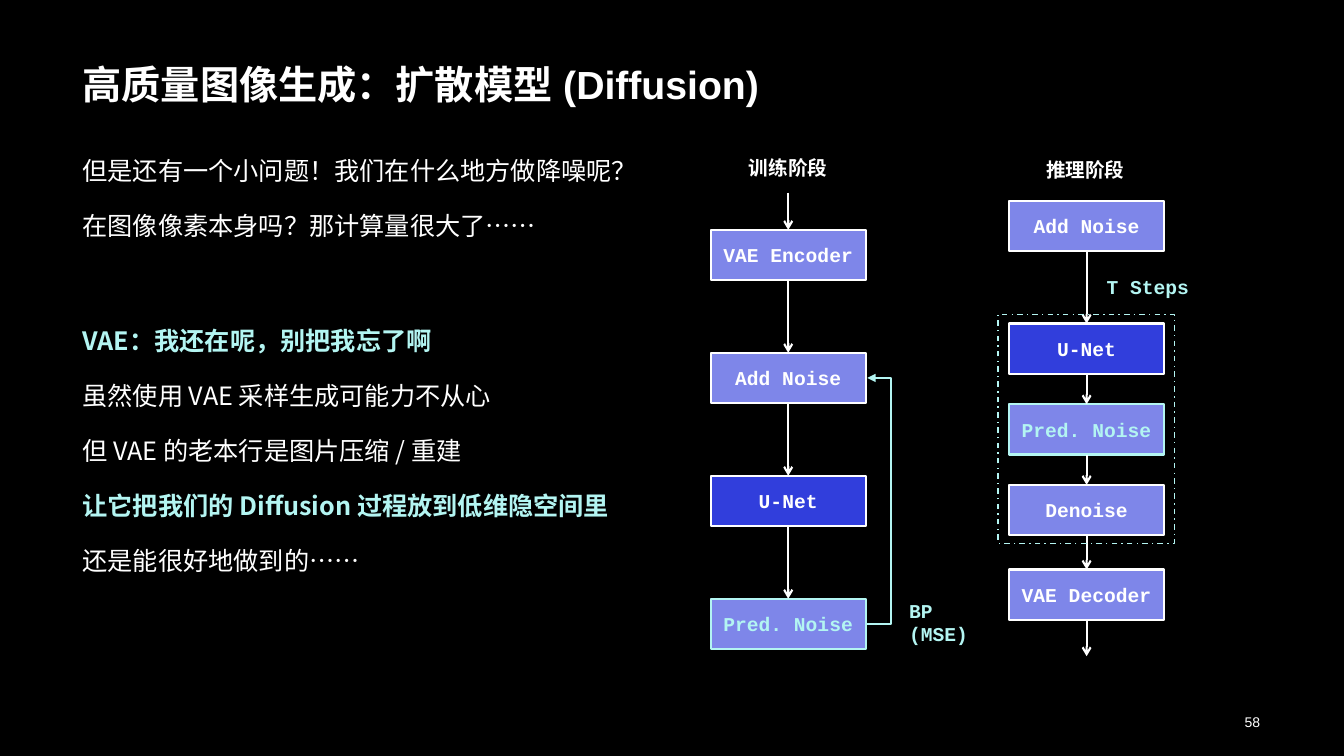
"""Build a slide on diffusion in a VAE latent space."""
import lxml.etree
import pptx
import pptx.dml.color
import pptx.enum.dml
import pptx.enum.lang
import pptx.enum.shapes
import pptx.enum.text
import pptx.oxml.ns
import pptx.util

Pt = pptx.util.Pt
RGB = pptx.dml.color.RGBColor
ALIGN = pptx.enum.text.PP_ALIGN
ANCHOR = pptx.enum.text.MSO_ANCHOR
FIT = pptx.enum.text.MSO_AUTO_SIZE
LINK = pptx.enum.shapes.MSO_CONNECTOR
qn = pptx.oxml.ns.qn

BLACK = RGB(0x00, 0x00, 0x00)
WHITE = RGB(0xFF, 0xFF, 0xFF)
AQUA = RGB(0xB3, 0xF5, 0xF2)
LILAC = RGB(0x7E, 0x86, 0xE9)
BLUE = RGB(0x31, 0x3E, 0xDC)

SANS, MONO, HAN = "Arial", "Courier New", "Noto Sans CJK SC"
WIDE, HIGH = 110.88, 36
TRAIN_X, INFER_X = 507.6, 720.72

BODY = [
    ("但是还有一个小问题！我们在什么地方做降噪呢？", False, 0),
    ("在图像像素本身吗？那计算量很大了……", False, 19.7),
    ("VAE：我还在呢，别把我忘了啊", True, 62.8),
    ("虽然使用 VAE 采样生成可能力不从心", False, 19.7),
    ("但 VAE 的老本行是图片压缩 / 重建", False, 19.7),
    ("让它把我们的 Diffusion 过程放到低维隐空间里", True, 19.7),
    ("还是能很好地做到的……", False, 19.7),
]
TRAIN = [
    ("VAE Encoder", 164.16, LILAC, WHITE),
    ("Add Noise", 252, LILAC, WHITE),
    ("U-Net", 339.84, BLUE, WHITE),
    ("Pred. Noise", 427.68, LILAC, AQUA),
]
INFER = [
    ("Add Noise", 143.28, LILAC, WHITE),
    ("U-Net", 231.12, BLUE, WHITE),
    ("Pred. Noise", 288.72, LILAC, AQUA),
    ("Denoise", 346.32, LILAC, WHITE),
    ("VAE Decoder", 406.8, LILAC, WHITE),
]
LABELS = [
    ("BP (MSE)", 642.24, 424.08, 77.76, AQUA),
    ("训练阶段", 527.76, 108, 71.28, WHITE),
    ("T Steps", 783.36, 192.96, 77.76, AQUA),
    ("推理阶段", 740.16, 109.44, 71.28, WHITE),
]


def add_run(para, text, size, face, tint, bold=False):
    run = para.add_run()
    run.text = text
    font = run.font
    font.size, font.bold, font.name = Pt(size), bold, face
    font.color.rgb = tint
    font.language_id = pptx.enum.lang.MSO_LANGUAGE_ID.SIMPLIFIED_CHINESE
    lxml.etree.SubElement(run._r.get_or_add_rPr(), qn("a:ea"), typeface=face)


def add_frame(slide, left, top, wide, high):
    frame = slide.shapes.add_textbox(Pt(left), Pt(top), Pt(wide), Pt(high)).text_frame
    frame.word_wrap = True
    return frame


def add_title(slide, text):
    title = slide.shapes.title
    title.left, title.top, title.width, title.height = map(Pt, (51.84, 10.08, 855.36, 70.56))
    frame = title.text_frame
    frame.word_wrap, frame.auto_size = True, FIT.NONE
    frame.vertical_anchor = ANCHOR.BOTTOM
    para = frame.paragraphs[0]
    para.alignment = ALIGN.LEFT
    add_run(para, text, 28, SANS, WHITE, True)


def add_body(slide):
    frame = add_frame(slide, 51.84, 110.16, 404.64, 334.08)
    for i, (text, strong, gap) in enumerate(BODY):
        para = frame.add_paragraph() if i else frame.paragraphs[0]
        para.line_spacing = 0.9
        para.space_before = Pt(gap)
        add_run(para, text, 18, HAN, AQUA if strong else WHITE, strong)


def add_label(slide, text, left, top, wide, tint):
    frame = add_frame(slide, left, top, wide, 24.48)
    frame.auto_size = FIT.SHAPE_TO_FIT_TEXT
    add_run(frame.paragraphs[0], text, 14, MONO, tint, True)


def add_page(slide, text):
    frame = add_frame(slide, 619.2, 504.72, 288, 21.6)
    frame.vertical_anchor = ANCHOR.MIDDLE
    para = frame.paragraphs[0]
    para.alignment = ALIGN.RIGHT
    add_run(para, text, 10, SANS, WHITE)


def add_rect(slide, left, top, wide, high, tint, width):
    kind = pptx.enum.shapes.MSO_SHAPE.RECTANGLE
    rect = slide.shapes.add_shape(kind, Pt(left), Pt(top), Pt(wide), Pt(high))
    rect.shadow.inherit = False
    rect.line.color.rgb = tint
    rect.line.width = Pt(width)
    return rect


def add_step(slide, left, text, top, fill, tint):
    step = add_rect(slide, left, top, WIDE, HIGH, tint, 1.5)
    step.fill.solid()
    step.fill.fore_color.rgb = fill
    frame = step.text_frame
    frame.word_wrap = True
    frame.vertical_anchor = ANCHOR.MIDDLE
    para = frame.paragraphs[0]
    para.alignment = ALIGN.CENTER
    add_run(para, text, 14, MONO, tint, True)
    return step


def add_link(slide, start, end, tint=WHITE, head="arrow", kind=LINK.STRAIGHT):
    link = slide.shapes.add_connector(kind, *map(Pt, start + end))
    link.line.color.rgb = tint
    link.line.width = Pt(1.5)
    lxml.etree.SubElement(link.line._get_or_add_ln(), qn("a:tailEnd"), type=head)
    lxml.etree.SubElement(link._element.spPr, qn("a:effectLst"))
    return link


def add_chain(slide, left, rows):
    steps = [add_step(slide, left, *row) for row in rows]
    mid = left + WIDE / 2
    for i in range(len(rows) - 1):
        link = add_link(slide, (mid, rows[i][1] + HIGH), (mid, rows[i + 1][1]))
        link.begin_connect(steps[i], 2)
        link.end_connect(steps[i + 1], 0)
    return steps, mid


def add_loop(slide):
    right = TRAIN_X + WIDE
    start = (right, TRAIN[3][1] + HIGH / 2)
    end = (right + 1, TRAIN[1][1] + HIGH / 2)
    loop = add_link(slide, start, end, AQUA, "triangle", LINK.ELBOW)
    geom = loop._element.spPr.find(qn("a:prstGeom"))
    bends = geom.find(qn("a:avLst"))
    if bends is None:
        bends = lxml.etree.SubElement(geom, qn("a:avLst"))
    lxml.etree.SubElement(bends, qn("a:gd"), name="adj1", fmla="val 1800000")


def main():
    deck = pptx.Presentation()
    deck.slide_width, deck.slide_height = Pt(960), Pt(540)
    slide = deck.slides.add_slide(deck.slide_layouts[5])
    slide.background.fill.solid()
    slide.background.fill.fore_color.rgb = BLACK
    add_title(slide, "高质量图像生成：扩散模型 (Diffusion)")
    add_page(slide, "58")
    add_body(slide)
    steps, mid = add_chain(slide, TRAIN_X, TRAIN)
    add_link(slide, (mid, 137.52), (mid, TRAIN[0][1])).end_connect(steps[0], 0)
    add_loop(slide)
    steps, mid = add_chain(slide, INFER_X, INFER)
    add_link(slide, (mid, INFER[-1][1] + HIGH), (mid, 468.72)).begin_connect(steps[-1], 2)
    group = add_rect(slide, 712.8, 224.64, 126, 163.44, AQUA, 1)
    group.fill.background()
    group.line.dash_style = pptx.enum.dml.MSO_LINE.DASH_DOT
    for label in LABELS:
        add_label(slide, *label)
    deck.save("out.pptx")


if __name__ == "__main__":
    main()
